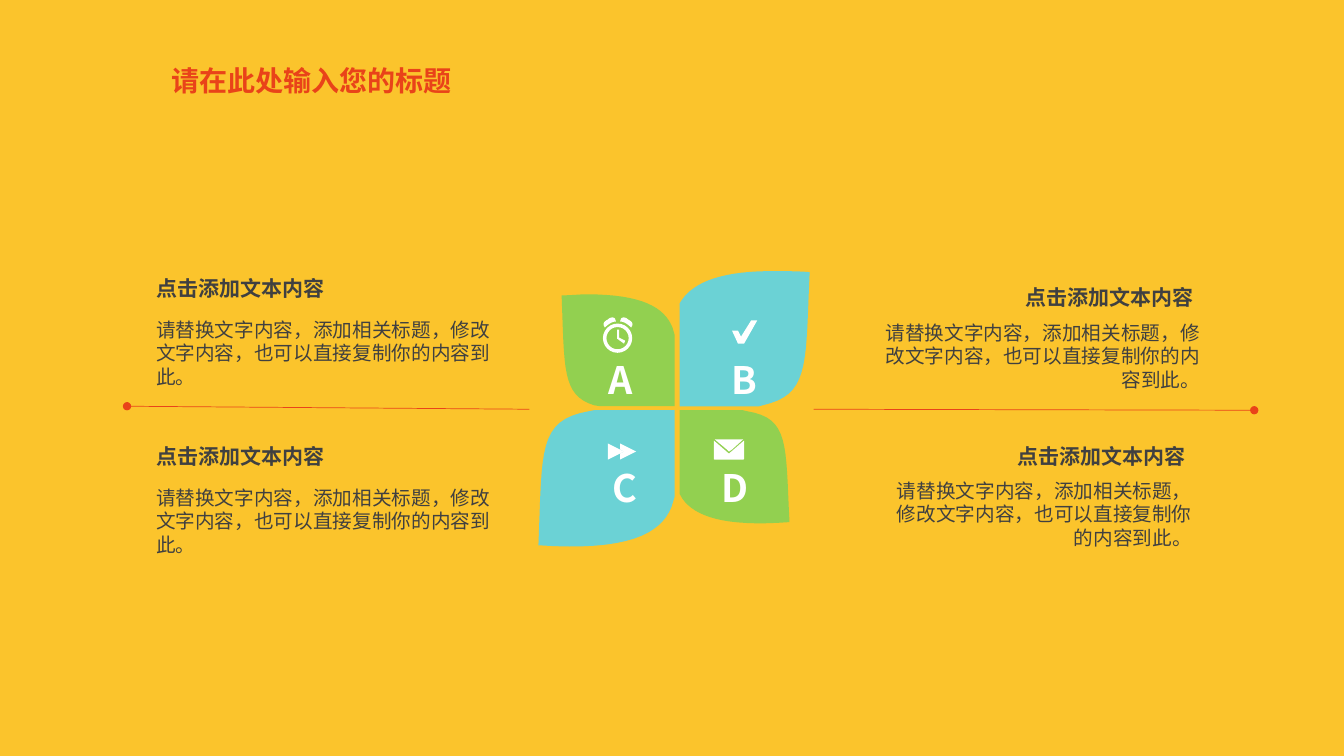
from dataclasses import dataclass

from lxml import etree
from pptx import Presentation, util as u
from pptx.dml.color import RGBColor
from pptx.enum import shapes as kinds, text as txt
from pptx.oxml.ns import qn

CELL = u.Inches(1)  # one column or row of the slide grid
COLUMNS, ROWS = 13.33, 7.5
CURVE_STEPS = 16


@dataclass(frozen=True)
class Theme:
    background: str = "FBC42C"
    accent: str = "E94319"
    sky: str = "6BD2D5"
    leaf: str = "92D050"
    ink: str = "404040"
    white: str = "FFFFFF"
    display_font: str = "Noto Sans CJK SC"
    body_font: str = "Arial"
    title_size: int = 20
    letter_size: int = 27
    heading_size: int = 15
    body_size: int = 14
    rule_width: float = 0.5


THEME = Theme()
TITLE = "请在此处输入您的标题"
HEADING = "点击添加文本内容"
BODY = "请替换文字内容，添加相关标题，修改文字内容，也可以直接复制你的内容到此。"

# letter, column and row of the letter, colour, outline
PETALS = [
    ("B", 7.16, 3.49, THEME.sky,
     "M 7.72 2.69 C 7.82 2.69 7.92 2.69 8.03 2.7 C 7.99 3.56 8.03 3.88 7.64 4 "
     "L 7.53 4.03 L 6.74 4.03 L 6.74 3.01 L 6.76 2.98 C 6.88 2.8 7.16 2.68 7.72 2.69"),
    ("A", 5.94, 3.49, THEME.leaf,
     "M 5.82 2.92 C 6.37 2.92 6.59 3.05 6.67 3.25 L 6.69 3.32 L 6.69 4.03 L 5.95 4.03 "
     "L 5.89 4.02 C 5.57 3.92 5.6 3.65 5.57 2.93 C 5.66 2.93 5.75 2.92 5.82 2.92"),
    ("C", 5.98, 4.56, THEME.sky,
     "M 5.89 4.07 L 6.69 4.07 L 6.69 4.93 L 6.66 5.03 C 6.55 5.3 6.22 5.47 5.34 5.41 "
     "C 5.38 4.47 5.33 4.17 5.84 4.08 L 5.89 4.07"),
    ("D", 7.06, 4.56, THEME.leaf,
     "M 6.74 4.07 L 7.37 4.07 L 7.41 4.08 C 7.83 4.15 7.79 4.4 7.83 5.18 "
     "C 7.18 5.23 6.89 5.12 6.77 4.95 L 6.74 4.9 L 6.74 4.07"),
]

CLOCK_FACE = (5.98, 3.21, 0.29, 0.29)
CLOCK_RIM = 0.12
CLOCK = [
    "M 6.12 3.27 L 6.14 3.27 L 6.14 3.35 L 6.2 3.38 L 6.19 3.41 L 6.12 3.36 L 6.12 3.27",
    "M 6.11 3.19 L 6.1 3.16 C 6.09 3.15 6.06 3.14 6.03 3.17 C 5.99 3.19 5.98 3.21 5.99 3.23 "
    "L 6 3.25 C 6.03 3.22 6.07 3.19 6.11 3.19",
    "M 6.26 3.25 L 6.27 3.23 C 6.28 3.21 6.27 3.19 6.23 3.17 C 6.2 3.14 6.17 3.15 6.16 3.16 "
    "L 6.15 3.19 C 6.19 3.19 6.23 3.22 6.26 3.25",
]
CHECK = ["M 7.26 3.28 L 7.32 3.28 L 7.35 3.34 L 7.45 3.18 L 7.51 3.18 L 7.38 3.41 "
         "L 7.32 3.41 L 7.26 3.28"]
FORWARD = [
    "M 6.31 4.48 L 6.15 4.4 L 6.15 4.46 L 6.19 4.48 L 6.15 4.5 L 6.15 4.56 L 6.31 4.48",
    "M 6.15 4.46 L 6.03 4.4 L 6.03 4.56 L 6.15 4.5 L 6.19 4.48 L 6.15 4.46",
]
ENVELOPE = [
    "M 7.38 4.37 L 7.23 4.5 L 7.08 4.37 L 7.08 4.55 C 7.08 4.56 7.09 4.56 7.1 4.56 "
    "L 7.36 4.56 C 7.37 4.56 7.38 4.56 7.38 4.55 L 7.38 4.37",
    "M 7.09 4.36 L 7.21 4.46 L 7.23 4.48 L 7.26 4.46 L 7.37 4.36 L 7.09 4.36",
]

# heading cell, body cell, alignment
LEFT, RIGHT = txt.PP_ALIGN.LEFT, txt.PP_ALIGN.RIGHT
NOTES = [
    ((1.45, 2.68, 2.21, 0.35), (1.45, 3.1, 3.53, 0.81), LEFT),
    ((1.45, 4.35, 2.35, 0.35), (1.45, 4.77, 3.53, 0.81), LEFT),
    ((9.94, 2.77, 2, 0.35), (8.58, 3.13, 3.42, 0.81), RIGHT),
    ((9.96, 4.35, 1.9, 0.35), (8.66, 4.7, 3.26, 0.81), RIGHT),
]

# from the dotted outer end to the flower
RULES = [((12.44, 4.07), (8.07, 4.06)), ((1.26, 4.03), (5.25, 4.06))]


def grid(*cells):
    return [round(cell * CELL) for cell in cells]


def paint(shape, colour):
    shape.shadow.inherit = False
    shape.fill.solid()
    shape.fill.fore_color.rgb = RGBColor.from_string(colour)
    shape.line.fill.background()


def outline_points(outline):
    """Turn M, L and C commands into points, sampling each cubic curve."""
    points = []
    for command in outline.replace("L", "|L").replace("C", "|C").split("|"):
        letter, *numbers = command.split()
        pairs = list(zip(*[iter(map(float, numbers))] * 2))
        if letter == "C":
            curve = [points[-1], *pairs]
            for step in range(1, CURVE_STEPS + 1):
                t = step / CURVE_STEPS
                weights = ((1 - t) ** 3, 3 * t * (1 - t) ** 2, 3 * t * t * (1 - t), t ** 3)
                points.append(tuple(sum(w * p[axis] for w, p in zip(weights, curve))
                                    for axis in (0, 1)))
        else:
            points += pairs
    return points


def add_outline(canvas, outline, colour):
    start, *others = [grid(*point) for point in outline_points(outline)]
    builder = canvas.build_freeform(*start)
    builder.add_line_segments(others, close=True)
    paint(builder.convert_to_shape(), colour)


def add_icon(slide, outlines):
    icon = slide.shapes.add_group_shape().shapes
    for outline in outlines:
        add_outline(icon, outline, THEME.white)
    return icon


def add_clock(slide):
    face = add_icon(slide, CLOCK).add_shape(kinds.MSO_SHAPE.DONUT, *grid(*CLOCK_FACE))
    face.adjustments[0] = CLOCK_RIM
    paint(face, THEME.white)


def write(box, words, font_name, size, colour, bold=False, align=LEFT):
    frame = box.text_frame
    frame.text = words
    frame.word_wrap = True
    frame.auto_size = txt.MSO_AUTO_SIZE.SHAPE_TO_FIT_TEXT
    frame.vertical_anchor = txt.MSO_ANCHOR.TOP
    paragraph = frame.paragraphs[0]
    paragraph.alignment = align
    font = paragraph.runs[0].font
    font.name, font.size, font.bold = font_name, u.Pt(size), bold
    font.color.rgb = RGBColor.from_string(colour)
    east_asian = etree.SubElement(paragraph.runs[0]._r.get_or_add_rPr(), qn("a:ea"))
    east_asian.set("typeface", font_name)


def add_title(slide):
    title = slide.shapes.title
    title.left, title.top, title.width, title.height = grid(1.6, 0.58, 3.83, 0.44)
    write(title, TITLE, THEME.display_font, THEME.title_size, THEME.accent, bold=True)


def add_petal(slide, letter, column, row, colour, outline):
    add_outline(slide.shapes, outline, colour)
    box = slide.shapes.add_textbox(*grid(column, row, 0.45, 0.56))
    write(box, letter, THEME.display_font, THEME.letter_size, THEME.white, bold=True)


def add_note(slide, heading_cell, body_cell, align):
    note = slide.shapes.add_group_shape().shapes
    write(note.add_textbox(*grid(*body_cell)), BODY,
          THEME.body_font, THEME.body_size, THEME.ink, align=align)
    write(note.add_textbox(*grid(*heading_cell)), HEADING,
          THEME.display_font, THEME.heading_size, THEME.ink, bold=True, align=align)


def add_dotted_rule(slide, dot, end):
    rule = slide.shapes.add_connector(kinds.MSO_CONNECTOR.STRAIGHT, *grid(*dot, *end))
    rule.line.color.rgb = RGBColor.from_string(THEME.accent)
    rule.line.width = u.Pt(THEME.rule_width)
    etree.SubElement(rule.line._get_or_add_ln(), qn("a:headEnd")).set("type", "oval")
    etree.SubElement(rule._element.spPr, qn("a:effectLst"))


def main():
    deck = Presentation()
    deck.slide_width, deck.slide_height = grid(COLUMNS, ROWS)
    slide = deck.slides.add_slide(deck.slide_layouts[5])
    slide.background.fill.solid()
    slide.background.fill.fore_color.rgb = RGBColor.from_string(THEME.background)
    add_title(slide)
    for petal in PETALS:
        add_petal(slide, *petal)
    add_clock(slide)
    for outlines in (CHECK, FORWARD, ENVELOPE):
        add_icon(slide, outlines)
    for rule in RULES:
        add_dotted_rule(slide, *rule)
    for note in NOTES:
        add_note(slide, *note)
    deck.save("out.pptx")


if __name__ == "__main__":
    main()
